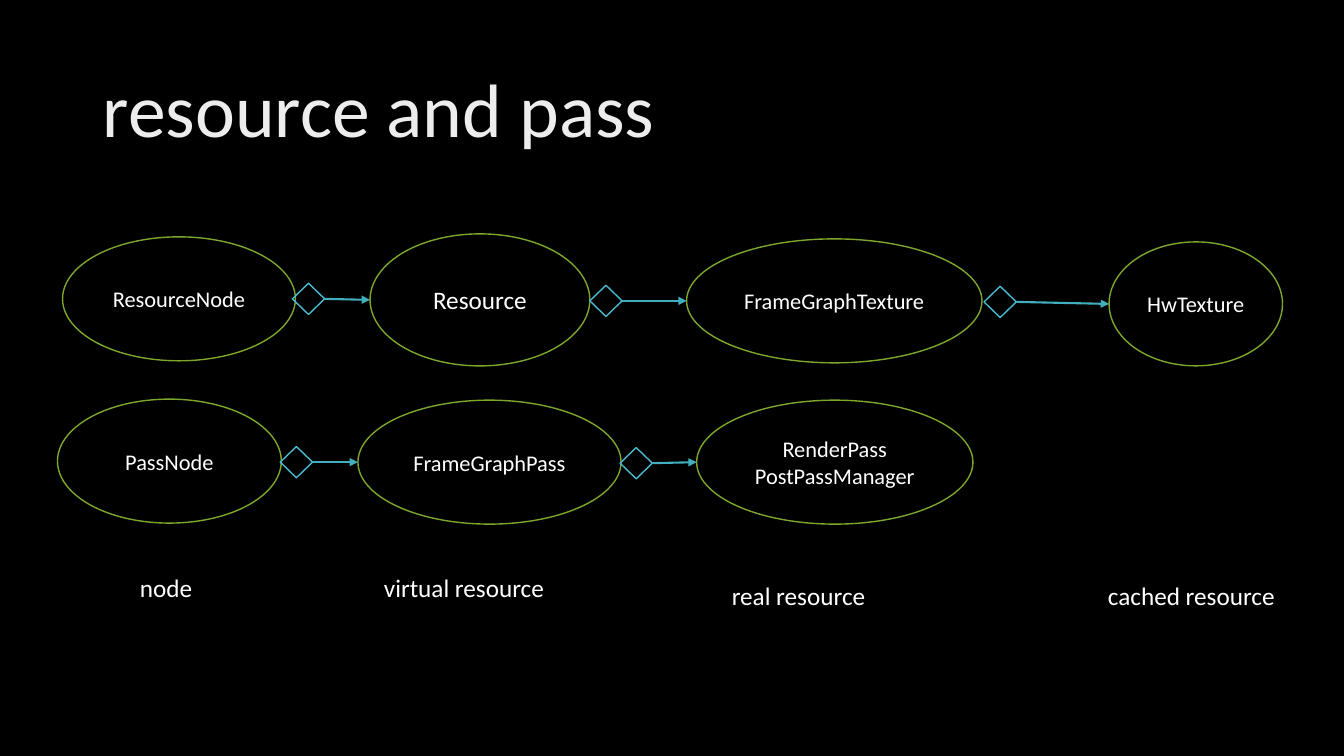
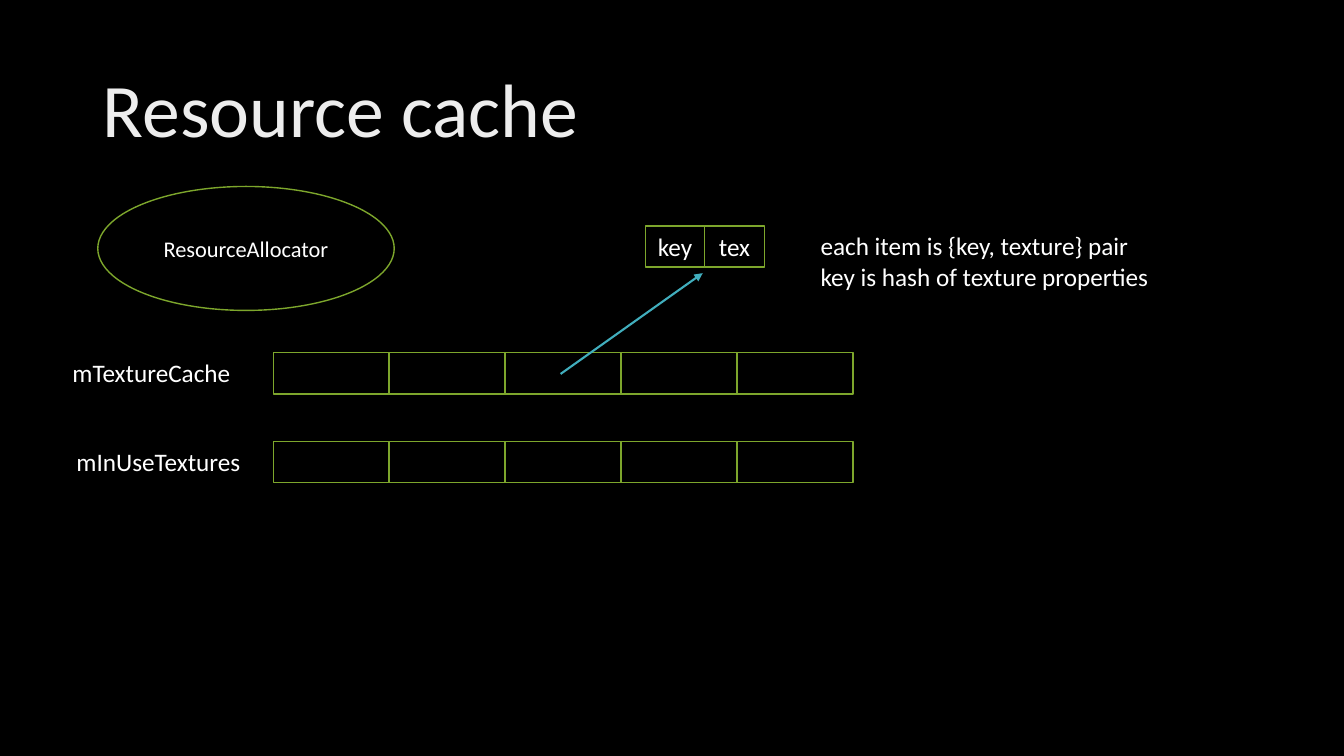
"""Build two dark slides about frame graph resources and their cache."""
import pptx
import pptx.dml.color
import pptx.enum.dml
import pptx.enum.shapes
import pptx.enum.text
import pptx.oxml
import pptx.oxml.ns
import pptx.util

RGBColor = pptx.dml.color.RGBColor
Shape = pptx.enum.shapes.MSO_SHAPE
Align = pptx.enum.text.PP_ALIGN
Anchor = pptx.enum.text.MSO_ANCHOR

BLACK = RGBColor(0x00, 0x00, 0x00)
WHITE = RGBColor(0xFF, 0xFF, 0xFF)
TITLE_GREY = RGBColor(0xED, 0xED, 0xED)
GREEN = RGBColor(0x7D, 0xA6, 0x2C)
TEAL = RGBColor(0x41, 0xAE, 0xBD)
LIGHT_TEAL = RGBColor(0x49, 0xBB, 0xD1)

FONT = "Calibri"
SLIDE_SIZE = (1333, 750)
TITLE_BOX = (92, 40, 1150, 145)
DIAMOND_SIZE = (32, 31)
CELL_HEIGHT = 41
TITLE_PARAGRAPH = {"alignment": Align.LEFT, "line_spacing": 0.9}
TITLE_FRAME = {"vertical_anchor": Anchor.MIDDLE, "word_wrap": True,
               "auto_size": pptx.enum.text.MSO_AUTO_SIZE.NONE}
SHAPE_FRAME = {"vertical_anchor": Anchor.MIDDLE, "word_wrap": True}
LABEL_FRAME = {"vertical_anchor": Anchor.TOP, "word_wrap": True,
               "auto_size": pptx.enum.text.MSO_AUTO_SIZE.SHAPE_TO_FIT_TEXT}

CHAINS = [
    {"ellipses": [("ResourceNode", 16, (62, 235, 231, 123)),
                  ("Resource", 18, (367, 232, 218, 131)),
                  ("FrameGraphTexture", 16, (681, 237, 293, 123)),
                  ("HwTexture", 16, (1100, 240, 172, 123))],
     "diamonds": [(290, 281), (585, 283), (976, 284)]},
    {"ellipses": [("PassNode", 16, (57, 396, 222, 123)),
                  ("FrameGraphPass", 16, (355, 397, 261, 123)),
                  ("RenderPass\nPostPassManager", 16, (691, 397, 274, 123))],
     "diamonds": [(278, 443), (615, 444)]},
]
COLUMN_LABELS = [
    ("node", (129, 563, 97, 40)),
    ("virtual resource", (371, 563, 193, 40)),
    ("real resource", (716, 571, 193, 40)),
    ("cached resource", (1089, 571, 193, 40)),
]
ALLOCATOR = ("ResourceAllocator", 16, (97, 185, 294, 123))
CELL_ROWS = [
    (271, 350, 115, [""] * 5),
    (271, 438, 115, [""] * 5),
    (640, 224, 59, ["key", "tex"]),
]
CACHE_LABELS = [
    ("mTextureCache", (62, 350, 188, 40)),
    ("mInUseTextures", (66, 438, 192, 40)),
    ("each item is {key, texture} pair\nkey is hash of texture properties",
     (804, 224, 356, 71)),
]
ITEM_ARROW = (556, 371, 697, 271)


def px(*values):
    return [pptx.util.Emu(value * 9144) for value in values]


def set_values(target, values):
    for name, value in values.items():
        setattr(target, name, value)


def write_text(shape, text, size, color, frame_values, paragraph_values):
    shape.text_frame.text = text
    set_values(shape.text_frame, frame_values)
    for paragraph in shape.text_frame.paragraphs:
        set_values(paragraph, paragraph_values)
        for run in paragraph.runs:
            set_values(run.font, {"name": FONT, "size": pptx.util.Pt(size)})
            run.font.color.rgb = color


def add_titled_slide(presentation, title):
    slide = presentation.slides.add_slide(presentation.slide_layouts[5])
    shape = slide.shapes.title
    set_values(shape, dict(zip(("left", "top", "width", "height"), px(*TITLE_BOX))))
    write_text(shape, title, 54, TITLE_GREY, TITLE_FRAME, TITLE_PARAGRAPH)
    return slide


def add_outline(shapes, kind, box, color, text="", size=18):
    shape = shapes.add_shape(kind, *px(*box))
    shape.shadow.inherit = False
    shape.fill.background()
    shape.line.color.rgb = color
    shape.line.width = pptx.util.Pt(1)
    if text:
        write_text(shape, text, size, WHITE, SHAPE_FRAME, {"alignment": Align.CENTER})
    return shape


def add_ellipse(slide, text, size, box):
    return add_outline(slide.shapes, Shape.OVAL, box, GREEN, text, size)


def add_labels(slide, labels):
    for text, box in labels:
        label = slide.shapes.add_textbox(*px(*box))
        write_text(label, text, 18, WHITE, LABEL_FRAME, {"alignment": Align.LEFT})


def add_arrow(slide, points):
    arrow = slide.shapes.add_connector(
        pptx.enum.shapes.MSO_CONNECTOR.STRAIGHT, *points)
    arrow.line.color.rgb = TEAL
    arrow.line.width = pptx.util.Pt(1.5)
    tail = pptx.oxml.parse_xml(
        f'<a:tailEnd {pptx.oxml.ns.nsdecls("a")} type="triangle"/>')
    arrow.line._get_or_add_ln().append(tail)
    effects = pptx.oxml.parse_xml(f'<a:effectLst {pptx.oxml.ns.nsdecls("a")}/>')
    arrow._element.spPr.append(effects)
    return arrow


def add_chain(slide, chain):
    ellipses = [add_ellipse(slide, *ellipse) for ellipse in chain["ellipses"]]
    for corner, target in zip(chain["diamonds"], ellipses[1:]):
        diamond = add_outline(slide.shapes, Shape.DIAMOND,
                              corner + DIAMOND_SIZE, LIGHT_TEAL)
        end = (target.left, target.top + target.height // 2)
        arrow = add_arrow(slide, (*end, *end))
        arrow.begin_connect(diamond, 3)
        arrow.end_connect(target, 2)
        set_values(arrow, {"end_x": end[0], "end_y": end[1]})


def add_cell_row(slide, left, top, width, texts):
    group = slide.shapes.add_group_shape()
    for index, text in enumerate(texts):
        box = (left + index * width, top, width, CELL_HEIGHT)
        add_outline(group.shapes, Shape.RECTANGLE, box, GREEN, text)


def main():
    presentation = pptx.Presentation()
    width, height = px(*SLIDE_SIZE)
    set_values(presentation, {"slide_width": width, "slide_height": height})
    background = presentation.slide_master.background.fill
    background.solid()
    background.fore_color.rgb = BLACK

    slide = add_titled_slide(presentation, "resource and pass")
    for chain in CHAINS:
        add_chain(slide, chain)
    add_labels(slide, COLUMN_LABELS)

    slide = add_titled_slide(presentation, "Resource cache")
    add_ellipse(slide, *ALLOCATOR)
    for row in CELL_ROWS:
        add_cell_row(slide, *row)
    add_labels(slide, CACHE_LABELS)
    add_arrow(slide, px(*ITEM_ARROW))

    presentation.save("out.pptx")


if __name__ == "__main__":
    main()
